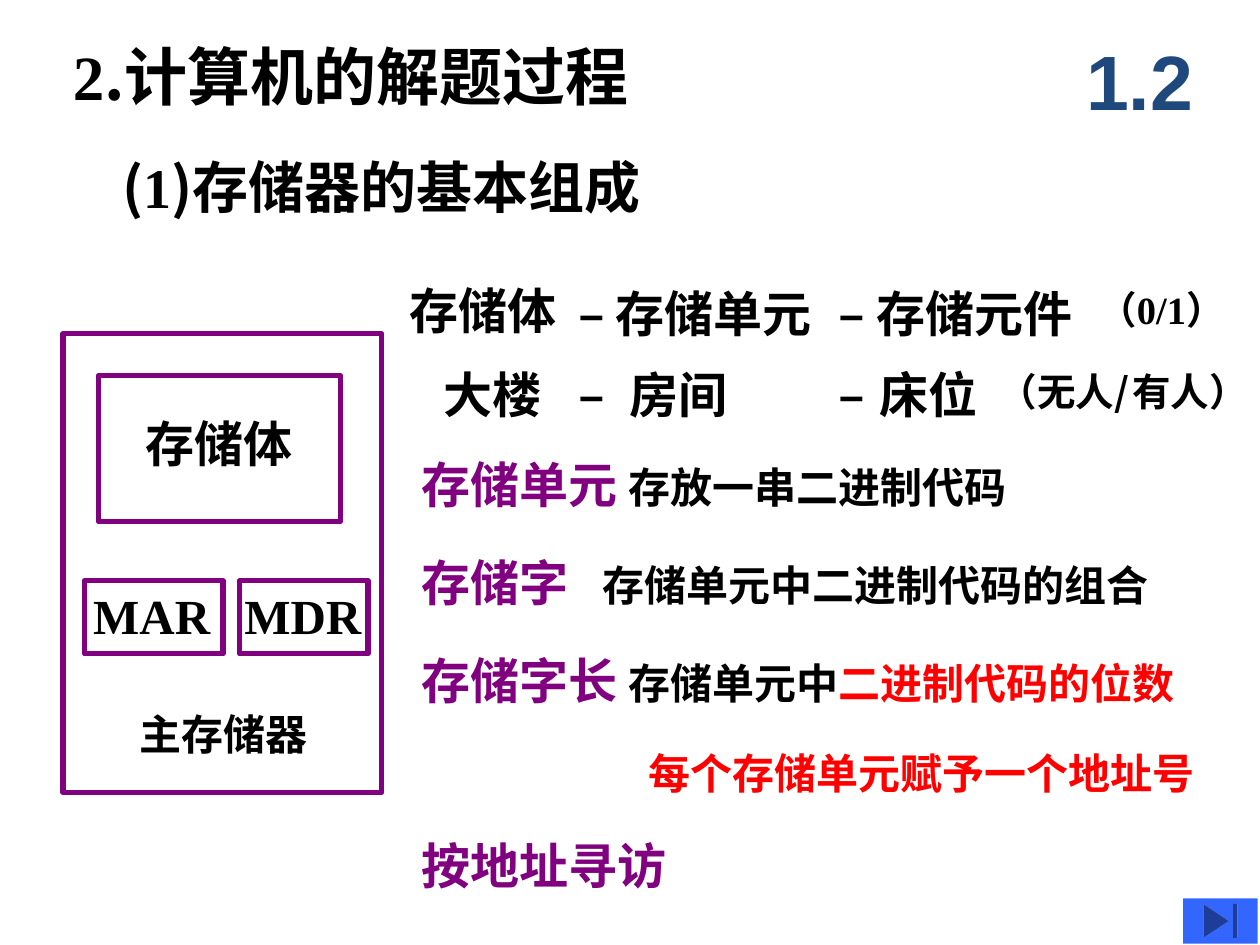
from pptx import Presentation
from pptx.dml.color import RGBColor
from pptx.enum.shapes import MSO_SHAPE
from pptx.enum.text import MSO_ANCHOR, MSO_AUTO_SIZE, PP_ALIGN
from pptx.oxml.ns import qn
from pptx.util import Inches, Pt
from lxml import etree

BLACK = RGBColor(0x00, 0x00, 0x00)
PURPLE = RGBColor(0x80, 0x00, 0x80)
RED = RGBColor(0xFF, 0x00, 0x00)
NAVY = RGBColor(0x1F, 0x49, 0x7D)
BLUE = RGBColor(0x33, 0x66, 0xFF)
CJK, SERIF, SANS = "Noto Sans CJK SC", "Times New Roman", "Arial"
RECTANGLE, END_BUTTON = MSO_SHAPE.RECTANGLE, MSO_SHAPE.ACTION_BUTTON_END
TOP, MIDDLE = MSO_ANCHOR.TOP, MSO_ANCHOR.MIDDLE
LEFT, CENTER = PP_ALIGN.LEFT, PP_ALIGN.CENTER
GROW, FIXED = MSO_AUTO_SIZE.SHAPE_TO_FIT_TEXT, MSO_AUTO_SIZE.NONE
LINE_HEIGHT = 0.57
TERM_LEFT, TERM_TOP, TERM_STEP = 3.25, 3.56, 0.775

DASH = ("–", {"font": SERIF})
TITLE = [("2", {"font": SERIF}), (".计算机的解题过程", {})]
SUBTITLE = [("(", {}), ("1", {"font": SERIF}), (")存储器的基本组成", {})]
SECTION = [("1.2", {"font": SANS, "color": NAVY})]

HIERARCHY = [
    ((3.15, 2.18, 1.54), [("存储体", {})], {}),
    ((4.49, 2.2, 2.48), [DASH, (" 存储单元", {})], {}),
    ((6.56, 2.2, 2.46), [DASH, (" 存储元件", {})], {}),
    ((8.62, 2.22, 1.38), [("（", {}), ("0/1", {"font": SERIF}), ("）", {})], {"size": 22}),
]
ANALOGY = [
    ((3.42, 2.84, 1.27), [("大楼", {})], {}),
    ((4.49, 2.84, 1.85), [DASH, ("\t房间", {})], {"tab": 0.41}),
    ((6.56, 2.84, 1.86), [DASH, ("\t床位", {})], {"tab": 0.32}),
    ((7.83, 2.87, 2.76), [("（无人/", {}), (" ", {"size": 8}), ("有人）", {})], {"size": 22}),
]
TERMS = [
    ("存储单元", 1.64, [("存放一串二进制代码", BLACK)]),
    ("存储字", 1.43, [("存储单元中二进制代码的组合", BLACK)]),
    ("存储字长", 1.64, [("存储单元中", BLACK), ("二进制代码的位数", RED)]),
]
MEMORY_FRAMES = [
    (0.5, 2.65, 2.53, 3.64),
    (0.78, 2.98, 1.92, 1.16),
    (0.67, 4.61, 1.1, 0.58),
    (1.9, 4.61, 1.02, 0.58),
]
MEMORY_LABELS = [
    ((1.06, 3.23, 1.37), "存储体", {}),
    ((0.74, 4.6, 1.03), "MAR", {"font": SERIF, "margins": (0, 0.05, 0.1, 0.05)}),
    ((1.94, 4.6, 1.14), "MDR", {"font": SERIF, "margins": (0, 0.05, 0, 0.05)}),
    ((1.11, 5.62, 1.34, 0.4), "主存储器", {"size": 24, "margins": (0, 0, 0, 0)}),
]

prs = Presentation()
prs.slide_width, prs.slide_height = Inches(10), Inches(7.5)
slide = prs.slides.add_slide(prs.slide_layouts[5])


def add_text(runs, place, box=None, size=28, font=CJK, color=BLACK, align=LEFT,
             anchor=TOP, margins=(0.1, 0.05, 0.1, 0.05), wrap=True, fit=GROW, tab=None):
    left, top, width, height = (*place, LINE_HEIGHT)[:4]
    box = box or slide.shapes.add_textbox(0, 0, 0, 0)
    box.left, box.top = Inches(left), Inches(top)
    box.width, box.height = Inches(width), Inches(height)
    frame = box.text_frame
    frame.word_wrap, frame.auto_size, frame.vertical_anchor = wrap, fit, anchor
    (frame.margin_left, frame.margin_top,
     frame.margin_right, frame.margin_bottom) = map(Inches, margins)
    paragraph = frame.paragraphs[0]
    paragraph.alignment, paragraph.space_before = align, Pt(0)
    if tab:
        stops = etree.SubElement(paragraph._p.get_or_add_pPr(), qn("a:tabLst"))
        etree.SubElement(stops, qn("a:tab"), pos=str(Inches(tab)), algn="l")
    for text, style in runs:
        run = paragraph.add_run()
        run.text = text
        face = run.font
        face.name = style.get("font", font)
        face.size = Pt(style.get("size", size))
        face.bold = True
        face.color.rgb = style.get("color", color)
        east_asian = etree.Element(qn("a:ea"), typeface=CJK)
        run._r.rPr.find(qn("a:latin")).addnext(east_asian)


def add_box(kind, place, fill=None, line=None):
    box = slide.shapes.add_shape(kind, *map(Inches, place))
    box.shadow.inherit = False
    if fill:
        box.fill.solid()
        box.fill.fore_color.rgb = fill
    else:
        box.fill.background()
    if line:
        box.line.color.rgb = line
        box.line.width = Pt(3)
    else:
        box.line.fill.background()


add_text(TITLE, (0.04, 0.25, 5.59, 0.7), box=slide.shapes.title, size=36,
         align=CENTER, margins=(0, 0.05, 0.1, 0.05))
add_text(SECTION, (8.42, 0.17, 1.25, 0.92), size=44, align=CENTER, anchor=MIDDLE, fit=FIXED)
add_text(SUBTITLE, (0.87, 1.16, 6.81, 0.63), size=32)

for place, runs, style in HIERARCHY + ANALOGY:
    add_text(runs, place, **style)

for row, (term, tab, definition) in enumerate(TERMS):
    runs = [(term + "\t", {"color": PURPLE})]
    runs += [(text, {"size": 24, "color": color}) for text, color in definition]
    add_text(runs, (TERM_LEFT, TERM_TOP + row * TERM_STEP, 7.25), tab=tab)

add_text([("每个存储单元赋予一个地址号", {})], (5.05, 5.88, 5.29, 0.5), size=24, color=RED)
add_text([("按地址寻访", {})], (TERM_LEFT, 6.58, 2.93), color=PURPLE)

for place in MEMORY_FRAMES:
    add_box(RECTANGLE, place, line=PURPLE)
for place, label, style in MEMORY_LABELS:
    add_text([(label, {})], place, wrap=False, **style)

add_box(END_BUTTON, (9.39, 7.13, 0.59, 0.36), fill=BLUE)

prs.save("out.pptx")
